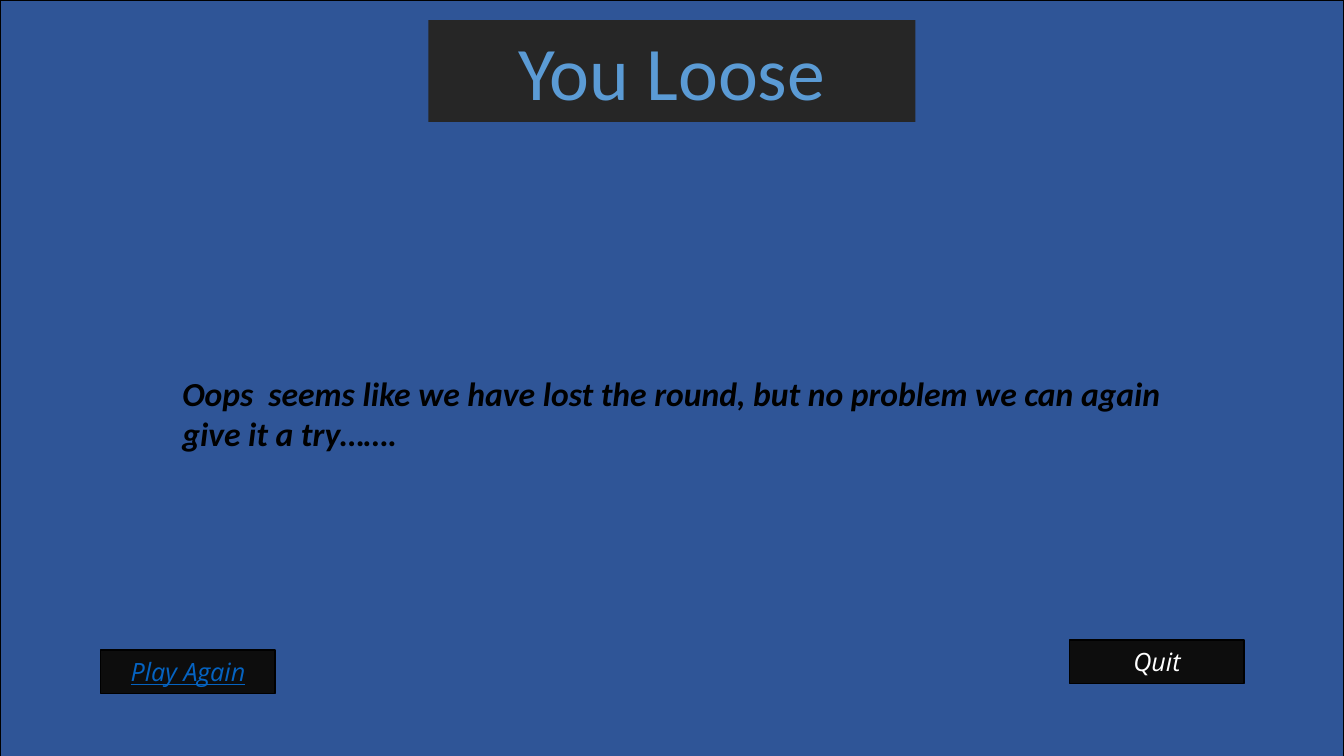
from pptx import Presentation
from pptx.dml.color import RGBColor
from pptx.enum.shapes import MSO_SHAPE
from pptx.enum.text import MSO_ANCHOR, PP_ALIGN
from pptx.util import Inches, Pt

RECTANGLE = MSO_SHAPE.RECTANGLE
TOP, MIDDLE = MSO_ANCHOR.TOP, MSO_ANCHOR.MIDDLE
LEFT, CENTER = PP_ALIGN.LEFT, PP_ALIGN.CENTER

BLACK = RGBColor(0x00, 0x00, 0x00)
WHITE = RGBColor(0xFF, 0xFF, 0xFF)
BLUE = RGBColor(0x2F, 0x55, 0x97)
CHARCOAL = RGBColor(0x26, 0x26, 0x26)
BUTTON_BLACK = RGBColor(0x0D, 0x0D, 0x0D)
TITLE_BLUE = RGBColor(0x5B, 0x9B, 0xD5)
LINK_BLUE = RGBColor(0x05, 0x63, 0xC1)


def add_panel(left, top, width, height, fill, outlined):
    panel = page.shapes.add_shape(
        RECTANGLE, Inches(left), Inches(top), Inches(width), Inches(height))
    panel.shadow.inherit = False
    panel.fill.solid()
    panel.fill.fore_color.rgb = fill
    if outlined:
        panel.line.color.rgb = BLACK
        panel.line.width = Pt(1)
    else:
        panel.line.fill.background()
    return panel


def write_text(box, text, font_name, size, color, align, anchor):
    frame = box.text_frame
    frame.word_wrap = True
    frame.vertical_anchor = anchor
    paragraph = frame.paragraphs[0]
    paragraph.text = text
    paragraph.alignment = align
    paragraph.font.name = font_name
    paragraph.font.size = Pt(size)
    paragraph.font.color.rgb = color
    return paragraph


deck = Presentation()
deck.slide_width = Inches(13.33)
deck.slide_height = Inches(7.5)
page = deck.slides.add_slide(deck.slide_layouts[6])

add_panel(0, 0, 13.33, 7.58, BLUE, True)

title = add_panel(4.25, 0.2, 4.83, 1.01, CHARCOAL, False)
write_text(title, "You Loose", "Calibri", 54, TITLE_BLUE, CENTER, TOP)

message = page.shapes.add_textbox(
    Inches(1.71), Inches(3.65), Inches(10.12), Inches(0.91))
sentence = write_text(
    message,
    "Oops  seems like we have lost the round, but no problem "
    "we can again give it a try…….",
    "Calibri", 24, BLACK, LEFT, TOP)
sentence.font.bold = True
sentence.font.italic = True

buttons = [
    ("Play Again", 1, 6.45, LINK_BLUE, True),
    ("Quit", 10.61, 6.35, WHITE, False),
]
for text, left, top, color, underlined in buttons:
    button = add_panel(left, top, 1.73, 0.43, BUTTON_BLACK, True)
    label = write_text(button, text, "Open Sans", 18, color, CENTER, MIDDLE)
    label.font.italic = True
    label.font.underline = underlined

deck.save("out.pptx")
